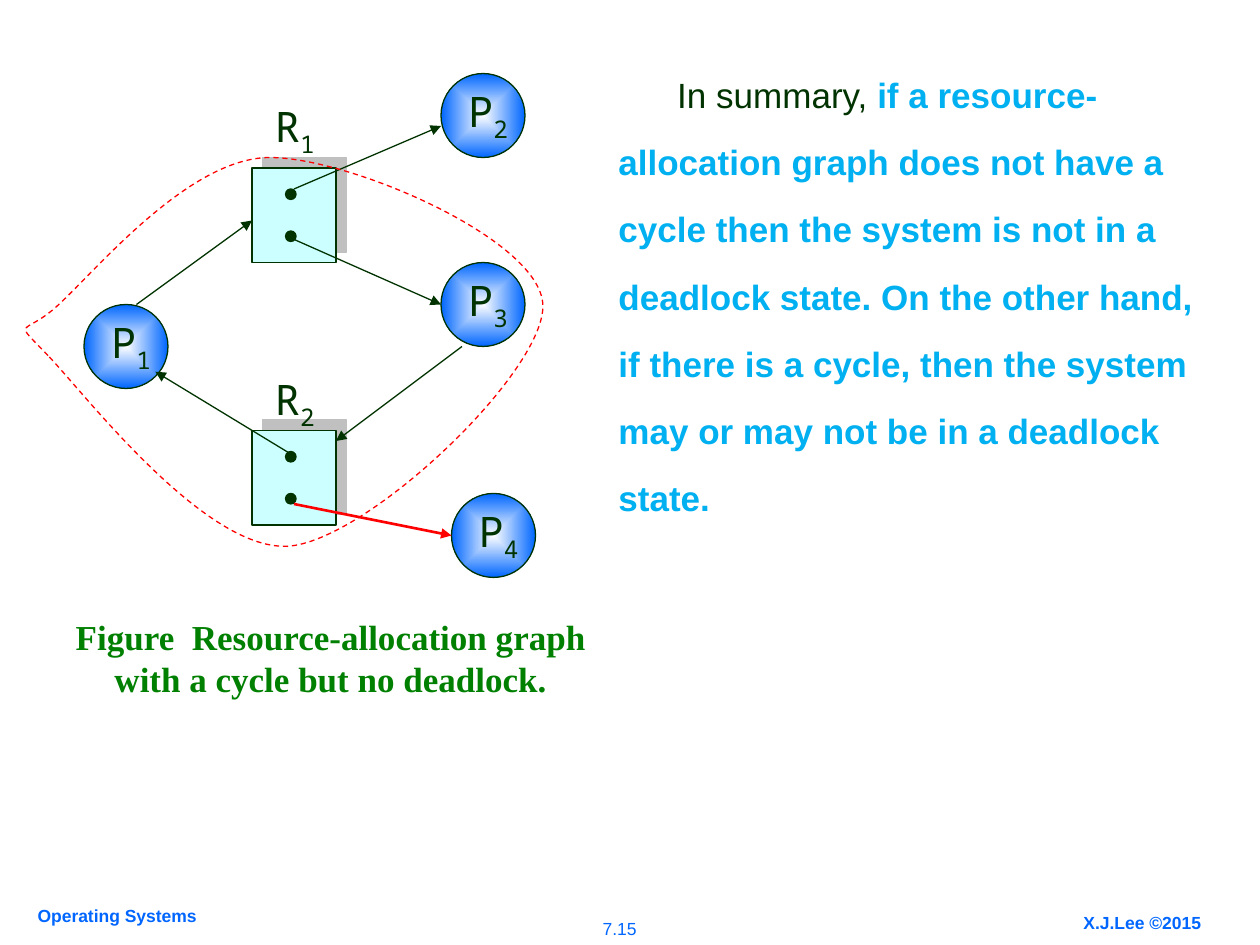
from dataclasses import dataclass

from lxml.etree import SubElement
from pptx import Presentation
from pptx.dml.color import RGBColor as Rgb
from pptx.enum.dml import MSO_LINE_DASH_STYLE as Dash
from pptx.enum.shapes import MSO_CONNECTOR as Connector, MSO_SHAPE as Shape
from pptx.enum.text import MSO_ANCHOR as Anchor, MSO_AUTO_SIZE as AutoSize, PP_ALIGN as Align
from pptx.oxml.ns import qn
from pptx.util import Emu, Pt

SCALE = 7620


@dataclass(frozen=True)
class Theme:
    """Colours, fonts and type sizes of the deck."""
    ink: Rgb = Rgb.from_string("003300")
    blue: Rgb = Rgb.from_string("0066FF")
    sky: Rgb = Rgb.from_string("00B0F0")
    green: Rgb = Rgb.from_string("008000")
    red: Rgb = Rgb.from_string("FF0000")
    pale: Rgb = Rgb.from_string("CCFFFF")
    white: Rgb = Rgb.from_string("FFFFFF")
    shade: str = "C0C0C0"
    sans: str = "Arial"
    serif: str = "Times New Roman"
    mono: str = "Noto Sans Mono"
    footer: Pt = Pt(10)
    body: Pt = Pt(20)
    label: Pt = Pt(24)
    thin: Pt = Pt(0.75)
    thick: Pt = Pt(1.5)


THEME = Theme()


def px(*lengths):
    """Turn px lengths into EMU."""
    return [Emu(length * SCALE) for length in lengths]


def style(font, name, size, color, bold=False):
    """Set the whole look of a font."""
    font.name, font.size, font.bold = name, size, bold
    font.color.rgb = color


def add_text(page, box, text, look, align=Align.LEFT, subscript=""):
    """Place one paragraph, with an optional subscript at its end."""
    frame = page.shapes.add_textbox(*px(*box)).text_frame
    frame.word_wrap = True
    para = frame.paragraphs[0]
    para.alignment = align
    style(para.font, *look)
    para.add_run().text = text
    if subscript:
        span = para.add_run()
        span.text = subscript
        span._r.get_or_add_rPr().set("baseline", "-25000")


def add_figure(page, kind, box, color):
    """Place a filled preset shape with a thin outline."""
    figure = page.shapes.add_shape(kind, *px(*box))
    figure.shadow.inherit = False
    figure.fill.solid()
    figure.fill.fore_color.rgb = color
    figure.line.color.rgb = THEME.ink
    figure.line.width = THEME.thin
    return figure


def add_process(page, left, top, number):
    """Place a process circle with a glowing centre and its label."""
    circle = add_figure(page, Shape.OVAL, (left, top, 80, 80), THEME.blue)
    circle.fill.gradient()
    for stop, color in zip(circle.fill.gradient_stops, (THEME.white, THEME.blue)):
        stop.color.rgb = color
    gradient = circle._element.spPr.find(qn("a:gradFill"))
    gradient.remove(gradient.find(qn("a:lin")))
    glow = SubElement(gradient, qn("a:path"), {"path": "rect"})
    SubElement(glow, qn("a:fillToRect"), dict.fromkeys("ltrb", "50000"))
    add_text(page, (left + 14, top + 6, 80, 67), "P",
             (THEME.mono, THEME.label, THEME.ink), subscript=number)


def add_resource(page, left, top, label_rise, number):
    """Place a shadowed resource box with two instances and its label."""
    square = add_figure(page, Shape.RECTANGLE, (left, top, 80, 90), THEME.pale)
    effects = square._element.spPr.find(qn("a:effectLst"))
    shadow = SubElement(effects, qn("a:outerShdw"), {
        "dist": str(Pt(8.5)), "dir": "18900000", "algn": "ctr", "rotWithShape": "0"})
    SubElement(shadow, qn("a:srgbClr"), {"val": THEME.shade})
    for drop in (20, 60):
        add_figure(page, Shape.OVAL, (left + 32, top + drop, 10, 10), THEME.ink)
    add_text(page, (left + 10, top - label_rise, 90, 67), "R",
             (THEME.mono, THEME.label, THEME.ink), subscript=number)


def add_arrow(page, start, end, color, width):
    """Draw a straight arrow from start to end."""
    arrow = page.shapes.add_connector(Connector.STRAIGHT, *px(*start, *end))
    arrow.line.color.rgb = color
    arrow.line.width = width
    SubElement(arrow.line._get_or_add_ln(), qn("a:tailEnd"), {"type": "triangle"})
    SubElement(arrow._element.spPr, qn("a:effectLst"))


def add_cycle(page, left, top):
    """Draw the dashed closed curve around the cycle."""
    start, *points = [
        (37, 270), (73, 308), (188, 458), (267, 450), (345, 441), (510, 282),
        (507, 220), (504, 158), (324, 80), (247, 80), (170, 80), (81, 188),
        (46, 220), (12, 252), (0, 231), (37, 270)]
    builder = page.shapes.build_freeform(*start, scale=SCALE)
    builder.add_line_segments(points, close=True)
    curve = builder.convert_to_shape(*px(left, top))
    legs = list(curve._element.iter(qn("a:lnTo")))
    outline = legs[0].getparent()
    for first in range(0, len(points), 3):
        bend = SubElement(outline, qn("a:cubicBezTo"))
        legs[first].addprevious(bend)
        for leg in legs[first:first + 3]:
            bend.append(leg[0])
            outline.remove(leg)
    curve.shadow.inherit = False
    curve.fill.background()
    curve.line.color.rgb = THEME.red
    curve.line.width = THEME.thin
    curve.line.dash_style = Dash.DASH


def add_graph(page, box):
    """Draw the resource-allocation graph."""
    left, top = box[:2]
    for x, y, rise, number in ((230, 340, 60, "2"), (230, 90, 70, "1")):
        add_resource(page, left + x, top + y, rise, number)
    for x, y, number in ((70, 220, "1"), (410, 0, "2"), (410, 180, "3"), (420, 400, "4")):
        add_process(page, left + x, top + y, number)
    plain, strong = (THEME.ink, THEME.thin), (THEME.red, THEME.thick)
    for x1, y1, x2, y2, look in (
            (120, 220, 230, 140, plain), (268, 363, 138, 284, plain),
            (270, 110, 410, 50, plain), (270, 158, 410, 220, plain),
            (430, 260, 310, 350, plain), (270, 410, 420, 440, strong)):
        add_arrow(page, (left + x1, top + y1), (left + x2, top + y2), *look)
    add_cycle(page, left, top)


def add_summary(page, box):
    """Fill the body placeholder with the summary."""
    body = page.placeholders[1]
    body.left, body.top, body.width, body.height = px(*box)
    frame = body.text_frame
    frame.auto_size, frame.vertical_anchor = AutoSize.NONE, Anchor.TOP
    para = frame.paragraphs[0]
    settings = para._p.get_or_add_pPr()
    settings.set("marL", "0")
    settings.set("indent", str(56 * SCALE))
    para.line_spacing, para.space_before = 1.6, Pt(0)
    SubElement(settings, qn("a:buNone"))
    para.font.name, para.font.size = THEME.sans, THEME.body
    for text, color, bold in (
            ("In summary, ", THEME.ink, False),
            ("if a resource-allocation graph does not have a cycle then the system is "
             "not in a deadlock state. On the other hand, if there is a cycle, then the "
             "system may or may not be in a deadlock state.", THEME.sky, True)):
        span = para.add_run()
        span.text = text
        span.font.color.rgb, span.font.bold = color, bold


def add_footer(page, box):
    """Place the course name, page number and copyright line."""
    left, top = box[:2]
    for x, y, width, text, align, bold in (
            (0, 0, 184, "Operating Systems", Align.LEFT, True),
            (516, 12, 100, "7.15", Align.CENTER, False),
            (996, 7, 160, "X.J.Lee ©2015", Align.LEFT, True)):
        add_text(page, (left + x, top + y, width, 32), text,
                 (THEME.sans, THEME.footer, THEME.blue, bold), align)


def main():
    """Build the slide and save the deck."""
    deck = Presentation()
    deck.slide_width, deck.slide_height = px(1200, 900)
    page = deck.slides.add_slide(deck.slide_layouts[1])
    title = page.shapes.title._element
    title.getparent().remove(title)
    add_footer(page, (24, 856, 1156, 44))
    add_graph(page, (10, 70, 510, 480))
    add_text(page, (30, 580, 570, 92),
             "Figure  Resource-allocation graph with a cycle but no deadlock.",
             (THEME.serif, THEME.body, THEME.green, True), Align.CENTER)
    add_summary(page, (577, 40, 593, 461))
    deck.save("out.pptx")


if __name__ == "__main__":
    main()
